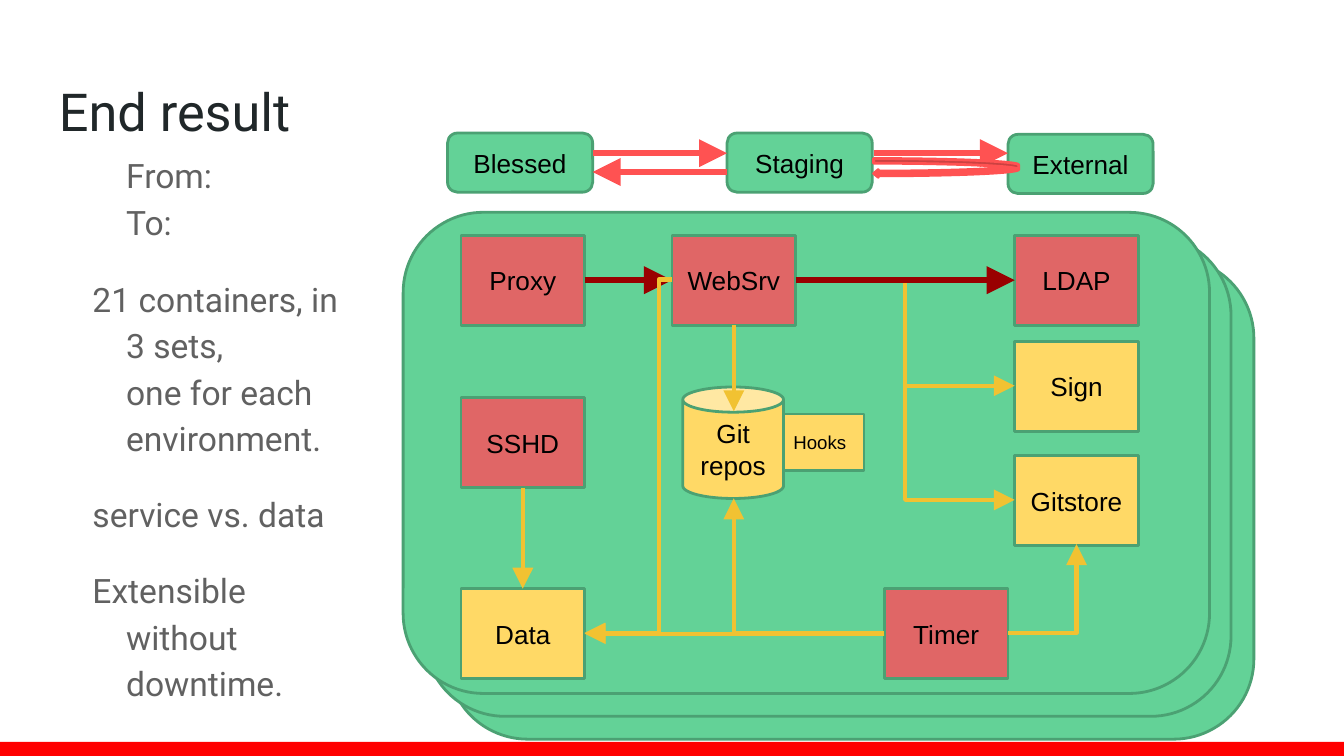
from copy import deepcopy
from typing import NamedTuple, Optional

from lxml.etree import SubElement
from pptx import Presentation
from pptx.dml.color import RGBColor
from pptx.enum.shapes import MSO_CONNECTOR, MSO_SHAPE
from pptx.enum.text import MSO_ANCHOR, PP_ALIGN
from pptx.oxml.ns import qn
from pptx.util import Emu, Pt

PX = 9144  # 100 px to the inch
COLORS = {
    "green": "63D297", "edge": "4BA173", "red": "E06666", "yellow": "FFD966",
    "dark_red": "990000", "gold": "F1C232", "coral": "FF5252", "bar": "FF0000",
    "title": "202729", "body": "616161", "black": "000000",
}
TOP, LEFT, BOTTOM, RIGHT = range(4)


class Box(NamedTuple):
    text: str
    left: int
    top: int
    width: int = 92
    height: int = 67
    fill: str = "yellow"
    kind: MSO_SHAPE = MSO_SHAPE.RECTANGLE
    size: int = 14
    edge: Optional[str] = "edge"


class Arrow(NamedTuple):
    start: tuple[int, int]
    end: tuple[int, int]
    color: str = "gold"
    width: float = 2.25
    bend: Optional[float] = None  # place of the middle leg in a three-part elbow
    corner: bool = False          # elbow with a single corner
    source: Optional[tuple[str, int]] = None
    target: Optional[tuple[str, int]] = None


def px(length: int) -> Emu:
    return Emu(length * PX)


def rgb(name: str) -> RGBColor:
    return RGBColor.from_string(COLORS[name])


def write_text(text_frame, text, *, size=14, font="Arial", color="black",
               align=PP_ALIGN.LEFT, anchor=MSO_ANCHOR.TOP, line_spacing=None,
               space_after=0, left_margin=0, indent=0):
    """Each string in a list is a paragraph; a newline is a line break."""
    text_frame.word_wrap = True
    text_frame.vertical_anchor = anchor
    text_frame.margin_left = text_frame.margin_right = px(10)
    text_frame.margin_top = text_frame.margin_bottom = px(10)
    for index, words in enumerate([text] if isinstance(text, str) else text):
        paragraph = text_frame.add_paragraph() if index else text_frame.paragraphs[0]
        paragraph.text = words
        paragraph.alignment = align
        paragraph.space_after = Pt(space_after)
        if line_spacing:
            paragraph.line_spacing = line_spacing
        if left_margin:
            properties = paragraph._p.get_or_add_pPr()
            properties.set("marL", str(px(left_margin)))
            properties.set("indent", str(px(indent)))
        for run in paragraph.runs:
            run.font.size = Pt(size)
            run.font.name = font
            run.font.color.rgb = rgb(color)
        for line_break in paragraph._p.findall(qn("a:br")):
            line_break.append(deepcopy(paragraph.runs[0]._r.rPr))


def draw_text(slide, left: int, top: int, width: int, height: int, text, **text_format):
    text_box = slide.shapes.add_textbox(px(left), px(top), px(width), px(height))
    write_text(text_box.text_frame, text, **text_format)


def draw_box(slide, box: Box):
    shape = slide.shapes.add_shape(
        box.kind, px(box.left), px(box.top), px(box.width), px(box.height))
    shape.shadow.inherit = False
    shape.fill.solid()
    shape.fill.fore_color.rgb = rgb(box.fill)
    if box.edge:
        shape.line.color.rgb = rgb(box.edge)
        shape.line.width = Pt(1.5)
    else:
        shape.line.fill.background()
    if box.text:
        write_text(shape.text_frame, box.text, size=box.size,
                   align=PP_ALIGN.CENTER, anchor=MSO_ANCHOR.MIDDLE)
    return shape


def draw_arrow(slide, arrow: Arrow, boxes: dict):
    bent = arrow.corner or arrow.bend is not None
    connector = slide.shapes.add_connector(
        MSO_CONNECTOR.ELBOW if bent else MSO_CONNECTOR.STRAIGHT,
        *map(px, arrow.start + arrow.end))
    if arrow.source:
        connector.begin_connect(boxes[arrow.source[0]], arrow.source[1])
    if arrow.target:
        connector.end_connect(boxes[arrow.target[0]], arrow.target[1])
    connector.line.color.rgb = rgb(arrow.color)
    connector.line.width = Pt(arrow.width)
    properties = connector._element.spPr
    geometry = properties.find(qn("a:prstGeom"))
    if arrow.corner:
        geometry.set("prst", "bentConnector2")
    elif bent:
        guides = geometry.find(qn("a:avLst"))
        if guides is None:
            guides = SubElement(geometry, qn("a:avLst"))
        SubElement(guides, qn("a:gd"), name="adj1", fmla=f"val {round(arrow.bend * 100000)}")
    SubElement(properties.find(qn("a:ln")), qn("a:tailEnd"),
               type="triangle", w="lg", len="lg")
    SubElement(properties, qn("a:effectLst"))


ROUNDED = MSO_SHAPE.ROUNDED_RECTANGLE
PANELS = [Box("", 300 + step * 50 // 3, 158 + 17 * step, 600, 358, "green", ROUNDED)
          for step in (2, 1, 0)]
SERVICES = [
    Box("Proxy", 343, 175, fill="red"),
    Box("WebSrv", 500, 175, fill="red"),
    Box("LDAP", 755, 175, fill="red"),
    Box("Sign", 755, 254),
    Box("Gitstore", 755, 339),
    Box("Hooks", 577, 308, 66, 42, size=10),
    Box("Git\nrepos", 508, 288, 75, 83, kind=MSO_SHAPE.CAN),
    Box("Timer", 658, 438, fill="red"),
    Box("Data", 343, 438),
    Box("SSHD", 343, 296, fill="red"),
]
ENVIRONMENTS = [Box(name, left, top, 108, 44, "green", ROUNDED)
                for name, left, top in (("Blessed", 333, 99), ("Staging", 541, 99),
                                        ("External", 750, 100))]
SERVICE_ARROWS = [
    Arrow((435, 208), (500, 208), "dark_red", 3,
          source=("Proxy", RIGHT), target=("WebSrv", LEFT)),
    Arrow((592, 208), (755, 287), bend=0.5),
    Arrow((592, 208), (755, 372), bend=0.5),
    Arrow((658, 471), (435, 471), source=("Timer", LEFT), target=("Data", RIGHT)),
    Arrow((546, 242), (546, 306), source=("WebSrv", BOTTOM)),
    Arrow((658, 471), (546, 371), corner=True),
    Arrow((389, 363), (389, 438), source=("SSHD", BOTTOM), target=("Data", TOP)),
    Arrow((750, 471), (801, 405), corner=True),
    Arrow((592, 208), (755, 208), "dark_red", 3,
          source=("WebSrv", RIGHT), target=("LDAP", LEFT)),
    Arrow((500, 208), (435, 471), bend=0.15),
]
ENVIRONMENT_ARROWS = [
    Arrow((441, 114), (541, 114), "coral", 3),
    Arrow((650, 114), (750, 114), "coral", 3),
    Arrow((541, 128), (441, 128), "coral", 3),
]


def main():
    presentation = Presentation()
    presentation.slide_width = px(1000)
    presentation.slide_height = Emu(px(1000) * 9 // 16)
    slide = presentation.slides.add_slide(presentation.slide_layouts[6])

    # Footer bar and stacked container sets
    draw_box(slide, Box("", 0, 552, 1000, 11, "bar", edge=None))
    for panel in PANELS:
        draw_box(slide, panel)

    # Title and notes on the left
    body = dict(size=18, font="Roboto", color="body", line_spacing=1.15, space_after=16)
    draw_text(slide, 34, 49, 932, 63, "End result", size=28, font="Roboto", color="title")
    draw_text(slide, 84, 101, 88, 79, "From:\nTo:", **body)
    draw_text(slide, 34, 193, 234, 146, [
        "21 containers, in 3 sets, \none for each environment.",
        "service vs. data",
        "Extensible without downtime.",
    ], left_margin=50, indent=-25, **body)

    # Services and environments with their links
    boxes = {box.text: draw_box(slide, box) for box in SERVICES + ENVIRONMENTS}
    for arrow in SERVICE_ARROWS + ENVIRONMENT_ARROWS:
        draw_arrow(slide, arrow, boxes)

    # Curved return from External to Staging
    curve = draw_box(slide, Box("", 650, 118, 108, 14, "coral",
                                MSO_SHAPE.CURVED_LEFT_ARROW, edge="coral"))
    for index, value in enumerate((0.25, 0.41, 0.25)):
        curve.adjustments[index] = value

    presentation.save("out.pptx")


if __name__ == "__main__":
    main()
